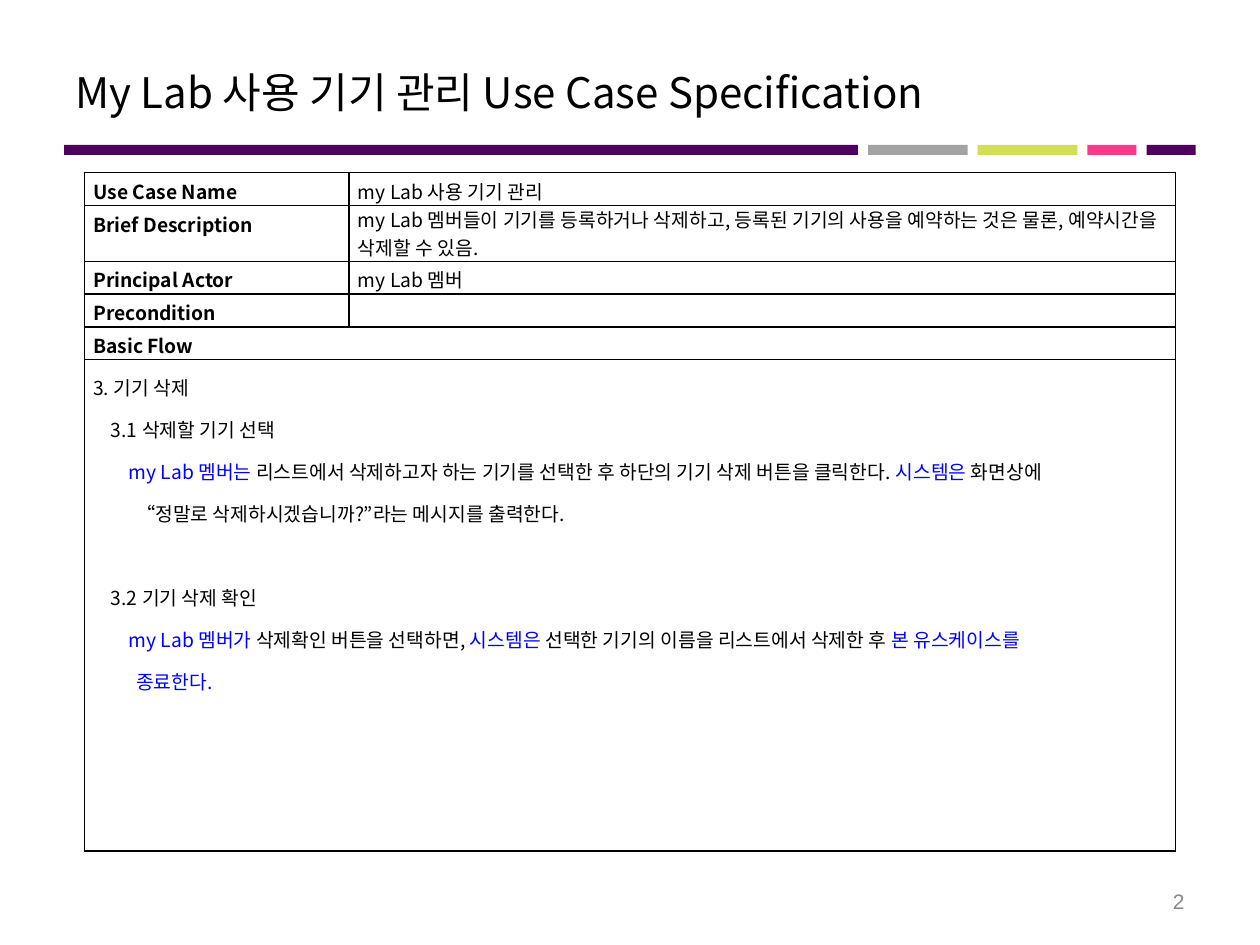
from dataclasses import dataclass

from lxml import etree
from pptx import Presentation
from pptx.dml.color import RGBColor
from pptx.enum.shapes import MSO_SHAPE
from pptx.enum.text import MSO_ANCHOR, MSO_AUTO_SIZE, PP_ALIGN
from pptx.oxml.ns import qn
from pptx.util import Inches, Pt

RECTANGLE = MSO_SHAPE.RECTANGLE
MIDDLE, TOP = MSO_ANCHOR.MIDDLE, MSO_ANCHOR.TOP
LEFT, RIGHT, JUSTIFY = PP_ALIGN.LEFT, PP_ALIGN.RIGHT, PP_ALIGN.JUSTIFY

BLACK = RGBColor(0x00, 0x00, 0x00)
WHITE = RGBColor(0xFF, 0xFF, 0xFF)
BLUE = RGBColor(0x00, 0x00, 0xFF)
PURPLE = RGBColor(0x4E, 0x00, 0x5F)
GRAY = RGBColor(0xA3, 0xA3, 0xA3)
LIME = RGBColor(0xD1, 0xDD, 0x5B)
PINK = RGBColor(0xFF, 0x38, 0x8C)
NUMBER_GRAY = RGBColor(0x89, 0x89, 0x89)

KOREAN_FONT = "Noto Sans CJK KR"
BODY_SIZE = Pt(11)


@dataclass
class Bar:
    width: float
    color: RGBColor


@dataclass
class Field:
    label: str
    value: str
    height: float
    alignment: PP_ALIGN = JUSTIFY
    spacing: float = 1.15


@dataclass
class Span:
    text: str
    color: RGBColor = BLACK


@dataclass
class FlowLine:
    spans: list[Span]
    indent: float = 0
    space_before: float = 0


BARS = [Bar(6.3, PURPLE), Bar(0.79, GRAY), Bar(0.79, LIME), Bar(0.39, PINK), Bar(0.39, PURPLE)]
BAR_LEFT, BAR_TOP, BAR_HEIGHT, BAR_GAP = 0.51, 1.15, 0.08, 0.08

FIELDS = [
    Field("Use Case Name", "my Lab 사용 기기 관리", 0.26),
    Field("Brief Description", "my Lab 멤버들이 기기를 등록하거나 삭제하고, 등록된 기기의 사용을 예약하는 것은 물론, "
          "예약시간을 삭제할 수 있음.", 0.44, LEFT, 1.0),
    Field("Principal Actor", "my Lab 멤버", 0.26),
    Field("Precondition", "", 0.26),
]
FLOW_TITLE_HEIGHT, FLOW_HEIGHT = 0.26, 3.9
COLUMN_WIDTHS = [2.1, 6.56]

STEP, ACTION, CONTINUED = 0.14, 0.28, 0.34
FLOW = [
    FlowLine([Span("3. 기기 삭제")]),
    FlowLine([Span("3.1 삭제할 기기 선택")], STEP),
    FlowLine([
        Span("my Lab 멤버는 ", BLUE),
        Span("리스트에서 삭제하고자 하는 기기를 선택한 후 하단의 기기 삭제 버튼을 클릭한다. "),
        Span("시스템은", BLUE),
        Span(" 화면상에"),
    ], ACTION),
    FlowLine([Span("“정말로 삭제하시겠습니까?”라는 메시지를 출력한다.")], CONTINUED),
    FlowLine([Span("3.2 기기 삭제 확인")], STEP, 24),
    FlowLine([
        Span("my Lab 멤버가 ", BLUE),
        Span("삭제확인 버튼을 선택하면, "),
        Span("시스템은", BLUE),
        Span(" 선택한 기기의 이름을 리스트에서 삭제한 후 "),
        Span("본 유스케이스를", BLUE),
    ], ACTION),
    FlowLine([Span("종료한다.", BLUE)], CONTINUED),
]


def apply(target, values: dict) -> None:
    for name, value in values.items():
        setattr(target, name, value)


def add_run(paragraph, text: str, size=BODY_SIZE, color=BLACK, bold=False, font=KOREAN_FONT) -> None:
    run = paragraph.add_run()
    run.text = text
    apply(run.font, {"size": size, "bold": bold, "name": font})
    run.font.color.rgb = color
    etree.SubElement(run.font._element, qn("a:ea")).set("typeface", font)


def add_bars(slide) -> None:
    left = BAR_LEFT
    for bar in BARS:
        shape = slide.shapes.add_shape(
            RECTANGLE, Inches(left), Inches(BAR_TOP), Inches(bar.width), Inches(BAR_HEIGHT))
        shape.shadow.inherit = False
        shape.fill.solid()
        shape.fill.fore_color.rgb = bar.color
        shape.line.fill.background()
        left += bar.width + BAR_GAP


def add_borders(cell) -> None:
    properties = cell._tc.get_or_add_tcPr()
    for index, edge in enumerate(("a:lnL", "a:lnR", "a:lnT", "a:lnB")):
        line = etree.Element(qn(edge), w=str(Pt(1)))
        fill = etree.SubElement(line, qn("a:solidFill"))
        etree.SubElement(fill, qn("a:srgbClr")).set("val", str(BLACK))
        properties.insert(index, line)


def format_cell(cell) -> None:
    apply(cell, {"margin_left": Inches(0.07), "margin_right": Inches(0.07),
                 "margin_top": 0, "margin_bottom": 0, "vertical_anchor": TOP})
    cell.fill.solid()
    cell.fill.fore_color.rgb = WHITE
    add_borders(cell)


def write_cell(cell, text: str, bold=False, alignment=JUSTIFY, spacing=1.15) -> None:
    paragraph = cell.text_frame.paragraphs[0]
    apply(paragraph, {"alignment": alignment, "line_spacing": spacing})
    if text:
        add_run(paragraph, text, bold=bold)
    else:
        etree.SubElement(paragraph._p, qn("a:endParaRPr")).set("sz", "1100")


def write_flow(cell) -> None:
    frame = cell.text_frame
    for index, line in enumerate(FLOW):
        paragraph = frame.add_paragraph() if index else frame.paragraphs[0]
        apply(paragraph, {"alignment": JUSTIFY, "line_spacing": 1.5})
        if line.space_before:
            paragraph.space_before = Pt(line.space_before)
        paragraph._p.get_or_add_pPr().set("marL", str(Inches(line.indent)))
        for span in line.spans:
            add_run(paragraph, span.text, color=span.color)


def add_specification(slide) -> None:
    heights = [field.height for field in FIELDS] + [FLOW_TITLE_HEIGHT, FLOW_HEIGHT]
    table = slide.shapes.add_table(
        len(heights), len(COLUMN_WIDTHS), Inches(0.67), Inches(1.37),
        Inches(sum(COLUMN_WIDTHS)), Inches(sum(heights))).table
    apply(table, {"first_row": False, "horz_banding": False})
    for column, width in zip(table.columns, COLUMN_WIDTHS):
        column.width = Inches(width)
    for row, height in zip(table.rows, heights):
        row.height = Inches(height)
        for cell in row.cells:
            format_cell(cell)

    for index, field in enumerate(FIELDS):
        write_cell(table.cell(index, 0), field.label, bold=True)
        write_cell(table.cell(index, 1), field.value, False, field.alignment, field.spacing)
    flow_title_row = len(FIELDS)
    for index in (flow_title_row, flow_title_row + 1):
        table.cell(index, 0).merge(table.cell(index, 1))
    write_cell(table.cell(flow_title_row, 0), "Basic Flow", bold=True)
    write_flow(table.cell(flow_title_row + 1, 0))


def write_line(shape, text: str, alignment, **run_format) -> None:
    apply(shape.text_frame, {"word_wrap": True, "auto_size": MSO_AUTO_SIZE.NONE,
                             "vertical_anchor": MIDDLE})
    paragraph = shape.text_frame.paragraphs[0]
    paragraph.alignment = alignment
    add_run(paragraph, text, **run_format)


def main() -> None:
    presentation = Presentation()
    apply(presentation, {"slide_width": Inches(10), "slide_height": Inches(7.5)})
    slide = presentation.slides.add_slide(presentation.slide_layouts[5])

    title = slide.shapes.title
    apply(title, {"left": Inches(0.5), "top": Inches(0.3),
                  "width": Inches(9), "height": Inches(0.85)})
    write_line(title, "My Lab 사용 기기 관리 Use Case Specification", LEFT, size=Pt(24))

    add_bars(slide)
    add_specification(slide)
    number = slide.shapes.add_textbox(Inches(7.17), Inches(6.95), Inches(2.33), Inches(0.4))
    write_line(number, "2", RIGHT, size=Pt(12), color=NUMBER_GRAY, font="Arial")
    presentation.save("out.pptx")


if __name__ == "__main__":
    main()
